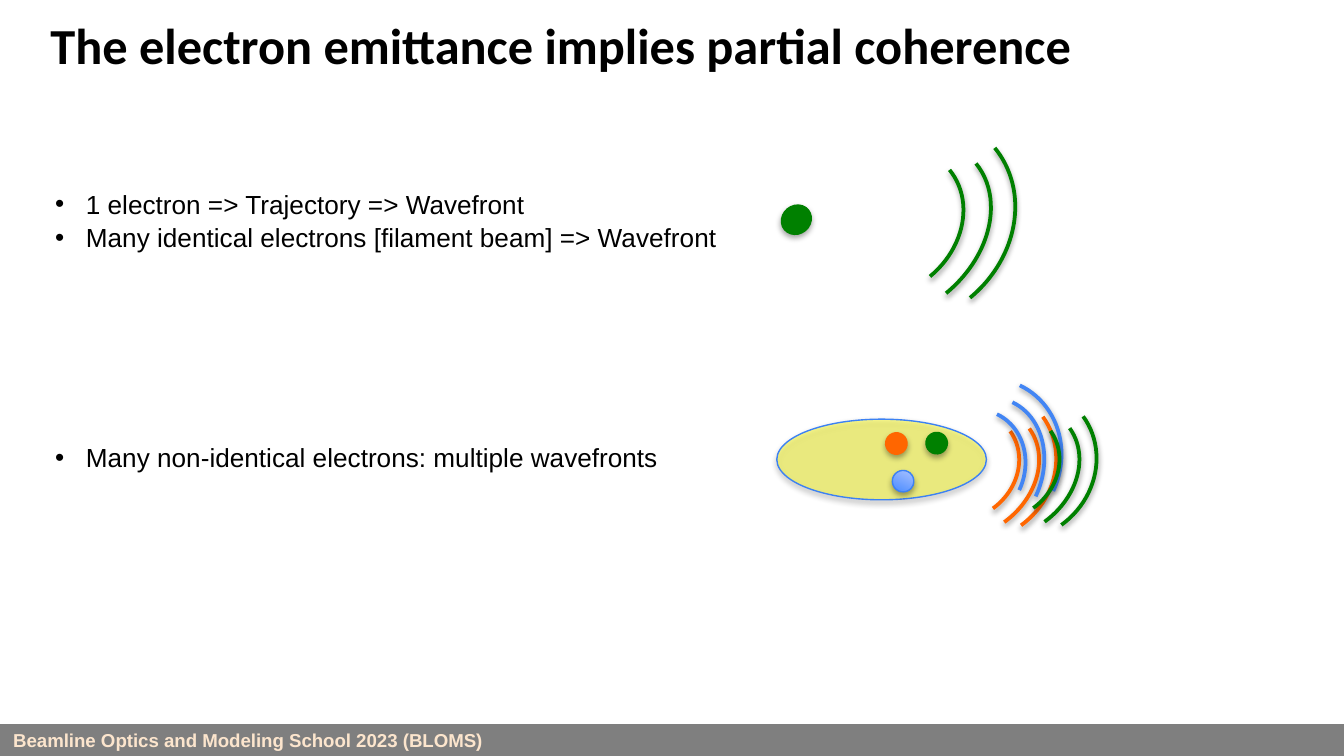
from pptx import Presentation
from pptx.dml.color import RGBColor
from pptx.enum.shapes import MSO_SHAPE
from pptx.enum.text import MSO_ANCHOR, MSO_AUTO_SIZE, PP_ALIGN
from pptx.oxml import parse_xml
from pptx.oxml.ns import nsdecls, qn
from pptx.util import Pt

OVAL, ARC, RECT = MSO_SHAPE.OVAL, MSO_SHAPE.ARC, MSO_SHAPE.RECTANGLE
TOP, MIDDLE = MSO_ANCHOR.TOP, MSO_ANCHOR.MIDDLE
LEFT, FIXED = PP_ALIGN.LEFT, MSO_AUTO_SIZE.NONE

THEME = {
    "black": "000000", "cream": "FCE5CD", "yellow": "FFFF00",
    "green": "008000", "orange": "FF6600", "blue": "4285F4",
    "edge": "3C81F3", "deep": "3782FF", "pale": "BBCBFF",
    "head": 27, "body": 14, "foot": 10,
    "title": "Calibri", "text": "Arial",
}


def write(para, text, size="body", font="text", color="black",
          bold=False, before=0, space=1.0, bullet=False):
    if bullet:
        props = para._p.get_or_add_pPr()
        props.set("marL", str(Pt(16.5)))
        props.set("indent", str(-Pt(16.5)))
        props.append(parse_xml(f'<a:buFont {nsdecls("a")} typeface="Arial"/>'))
        props.append(parse_xml(f'<a:buChar {nsdecls("a")} char="•"/>'))
    para.alignment = LEFT
    para.space_before, para.space_after = Pt(before), Pt(0)
    para.line_spacing = space
    run = para.add_run()
    run.text = text
    run.font.size, run.font.name = Pt(THEME[size]), THEME[font]
    run.font.bold = bold
    run.font.color.rgb = RGBColor.from_string(THEME[color])


def draw(kind, mid, size, fill=None, line=None, width=0.75, turn=0,
         alpha=100, shade=0):
    """Add a shape centred on mid; shade is the opacity of its shadow."""
    (x, y), (w, h) = mid, size
    shape = slide.shapes.add_shape(kind, Pt(x - w / 2), Pt(y - h / 2), Pt(w), Pt(h))
    shape.rotation = turn
    shape.shadow.inherit = False
    if fill:
        shape.fill.solid()
        shape.fill.fore_color.rgb = RGBColor.from_string(THEME[fill])
        tint = shape._element.spPr.find(qn("a:solidFill"))[0]
        if alpha < 100:
            tint.append(parse_xml(f'<a:alpha {nsdecls("a")} val="{alpha * 1000}"/>'))
    else:
        shape.fill.background()
    if line:
        shape.line.color.rgb = RGBColor.from_string(THEME[line])
        shape.line.width = Pt(width)
    else:
        shape.line.fill.background()
    if shade:
        shape._element.spPr.find(qn("a:effectLst")).append(parse_xml(
            f'<a:outerShdw {nsdecls("a")} blurRad="{Pt(3.1)}" dist="{Pt(1.7)}"'
            f' dir="5400000" rotWithShape="0"><a:srgbClr val="{THEME["black"]}">'
            f'<a:alpha val="{shade * 1000}"/></a:srgbClr></a:outerShdw>'))
    return shape


deck = Presentation()
deck.slide_width, deck.slide_height = Pt(720), Pt(405)
slide = deck.slides.add_slide(deck.slide_layouts[1])

# Title and list
title, body = slide.shapes.title, slide.placeholders[1]
for box, (x, y, w, h) in ((title, (21.6, 8.6, 658.8, 67.7)),
                          (body, (22.3, 97.2, 375.8, 211))):
    box.left, box.top, box.width, box.height = Pt(x), Pt(y), Pt(w), Pt(h)
    frame = box.text_frame
    frame.word_wrap, frame.auto_size = True, FIXED
    frame.vertical_anchor = TOP
frame = title.text_frame
frame.margin_left = frame.margin_right = Pt(5.4)
frame.margin_top = frame.margin_bottom = Pt(2.7)
write(frame.paragraphs[0], "The electron emittance implies partial coherence",
      size="head", font="title", bold=True, space=0.9)

items = (
    ("1 electron => Trajectory => Wavefront", 0),
    ("Many identical electrons [filament beam] => Wavefront", 1),
    ("Many non-identical electrons: multiple wavefronts", 101),
)
frame = body.text_frame
for i, (text, gap) in enumerate(items):
    para = frame.add_paragraph() if i else frame.paragraphs[0]
    write(para, text, before=gap, bullet=True)

# Footer bar
bar = draw(RECT, (360, 396.5), (720, 17), fill="black", alpha=50)
frame = bar.text_frame
frame.word_wrap, frame.vertical_anchor = True, MIDDLE
frame.margin_top = frame.margin_bottom = Pt(2)
write(frame.paragraphs[0], "Beamline Optics and Modeling School 2023 (BLOMS)",
      size="foot", color="cream", bold=True)

# Electron beam
draw(OVAL, (472.3, 246.2), (112.3, 43.2), fill="yellow", line="edge",
     alpha=42, shade=35)

# Electrons, each with three wavefronts placed relative to it
large = ((107.3, 122.4), (87.1, 113), (74.9, 88.6))
small = ((80.6, 87.1), (65.5, 80.6), (56.2, 63.4))
single = ((59, 0.4), (52.6, 5.8), (47.9, 1.5))
low = ((43.2, 11.2), (38.6, 15.6), (35.3, 12))
high = ((44, -11.9), (41.4, -5.8), (36.8, -7.2))
waves = (
    ("orange", (480.2, 237.6), (11.5, 11.5), 54.1, small, low),
    ("blue", (483.8, 257.8), (11.5, 11.5), 25.2, small, high),
    ("green", (501.8, 237.4), (11.5, 11.5), 54.1, small, low),
    ("green", (426.6, 117.7), (15.1, 16.6), 50.6, large, single),
)
for color, (x, y), size, turn, sizes, shifts in waves:
    edge = "edge" if color == "blue" else color
    dot = draw(OVAL, (x, y), size, fill=color, line=edge, turn=turn, shade=35)
    if color == "blue":
        dot.fill.gradient()
        dot.fill.gradient_angle = 90
        for stop, tone in zip(dot.fill.gradient_stops, ("deep", "pale")):
            stop.color.rgb = RGBColor.from_string(THEME[tone])
    for span, (dx, dy) in zip(sizes, shifts):
        draw(ARC, (x + dx, y + dy), span, line=color, width=2, turn=turn, shade=38)

deck.save("out.pptx")
